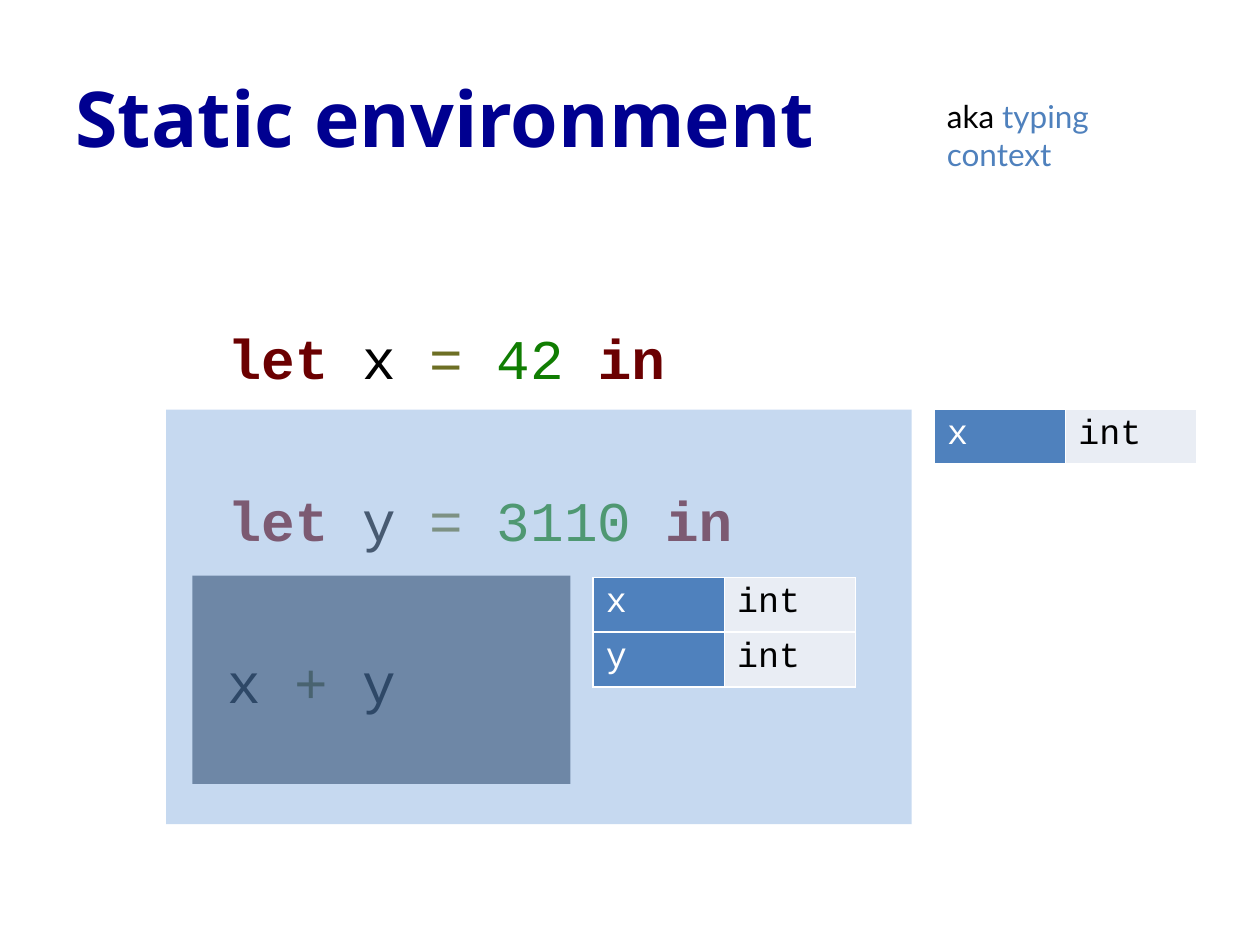
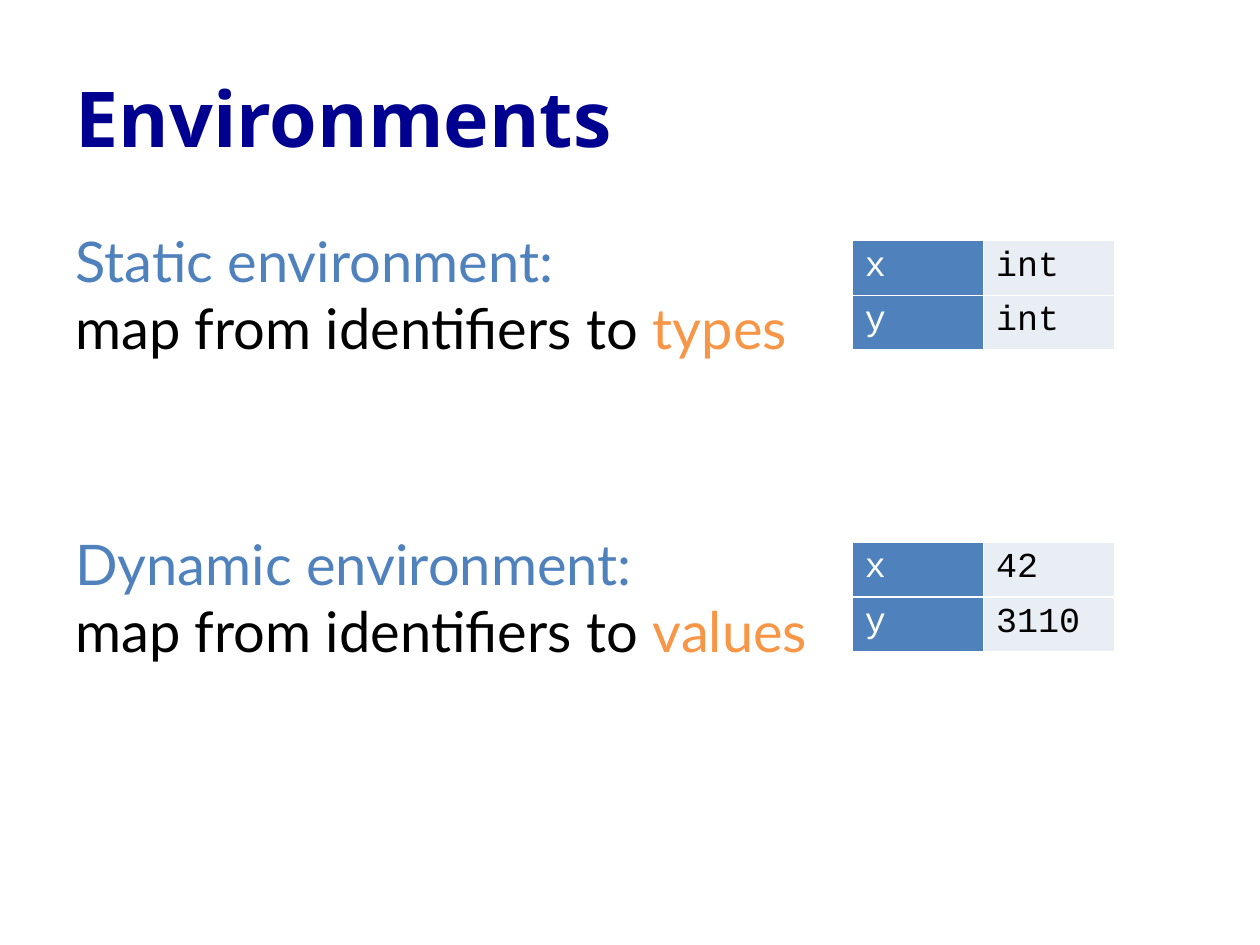
from dataclasses import dataclass
from typing import NamedTuple

from lxml import etree
from pptx import Presentation
from pptx.dml.color import RGBColor
from pptx.enum.shapes import MSO_SHAPE
from pptx.enum.text import MSO_ANCHOR, PP_ALIGN
from pptx.oxml.ns import qn
from pptx.slide import Slide
from pptx.util import Pt

LEFT = PP_ALIGN.LEFT
MIDDLE = MSO_ANCHOR.MIDDLE
RECT = MSO_SHAPE.RECTANGLE
TITLE_ONLY = 5


@dataclass(frozen=True)
class Theme:
    """Colours, fonts and type sizes, in points."""
    black: str = "000000"
    white: str = "FFFFFF"
    navy: str = "000090"
    blue: str = "4F81BD"
    orange: str = "F79646"
    pale: str = "E9EDF4"
    outer: str = "8EB4E3"
    inner: str = "17375E"
    key: str = "6B0001"
    sign: str = "6D6F24"
    digit: str = "107D02"
    head: str = "Open Sans"
    body: str = "Lato"
    code: str = "Courier New"
    title_size: int = 44
    body_size: int = 32
    cell_size: int = 20
    note_size: int = 18


THEME = Theme()


class Box(NamedTuple):
    """A place on the slide, in points."""
    left: float
    top: float
    width: float
    height: float


class Bit(NamedTuple):
    """A stretch of text in one colour; a break may follow it."""
    text: str
    tint: str = THEME.black
    bold: bool = False
    split: bool = False


class Scope(NamedTuple):
    """A see-through block that marks where a name is bound."""
    box: Box
    tint: str


class Env(NamedTuple):
    """A table of names and what they map to."""
    left: float
    top: float
    rows: list[tuple[str, str]]


TITLE = Box(36, 21.6, 648, 90)
NOTE = Box(534, 52, 145, 29)
CODE = Box(123, 131, 411, 356)
BODY = Box(36, 126, 648, 356)
COL, ROW = 75, 30
CODE_GAP, BODY_GAP = 54, 96

LET = Bit("let", THEME.key, True)
IN = Bit("in", THEME.key, True)
EQUALS = Bit("= ", THEME.sign)

PROGRAM = [
    [LET, Bit(" x "), EQUALS, Bit("42 ", THEME.digit), IN],
    [LET, Bit(" y "), EQUALS, Bit("3110 ", THEME.digit), IN],
    [Bit("x "), Bit("+", THEME.sign), Bit(" y")],
]
ALIAS = [[Bit("aka "), Bit("typing context", THEME.blue)]]
KINDS = [
    [Bit(f"{kind} environment:", THEME.blue, split=True),
     Bit("map from identifiers to "), Bit(target, THEME.orange)]
    for kind, target in [("Static", "types"), ("Dynamic", "values")]
]

TYPES = [("x", "int"), ("y", "int")]
VALUES = [("x", "42"), ("y", "3110")]
SCOPES = [
    Scope(Box(95, 234, 426, 237), THEME.outer),
    Scope(Box(110, 329, 216, 119), THEME.inner),
]


def points(box: Box) -> list[Pt]:
    """Turn a box into lengths."""
    return [Pt(side) for side in box]


def style(font, face: str, size: int, tint: str, bold: bool = False) -> None:
    """Set the look of a font."""
    font.name, font.size, font.bold = face, Pt(size), bold
    font.color.rgb = RGBColor.from_string(tint)


def add_page(deck, title: str) -> Slide:
    """Add a slide with its title."""
    page = deck.slides.add_slide(deck.slide_layouts[TITLE_ONLY])
    head = page.shapes.title
    head.left, head.top, head.width, head.height = points(TITLE)
    frame = head.text_frame
    frame.text = title
    frame.vertical_anchor = MIDDLE
    line = frame.paragraphs[0]
    line.alignment = LEFT
    style(line.runs[0].font, THEME.head, THEME.title_size, THEME.navy, True)
    return page


def add_text(page: Slide, box: Box, lines: list[list[Bit]], face: str,
             size: int, gap: float = 0, inset: float = 3.6) -> None:
    """Add coloured paragraphs with a gap between them."""
    frame = page.shapes.add_textbox(*points(box)).text_frame
    frame.word_wrap = True
    frame.margin_top = Pt(inset)
    for spot, bits in enumerate(lines):
        line = frame.add_paragraph() if spot else frame.paragraphs[0]
        line.alignment = LEFT
        line.space_before = Pt(gap if spot else 0)
        for bit in bits:
            run = line.add_run()
            run.text = bit.text
            style(run.font, face, size, bit.tint, bit.bold)
            if bit.split:
                line.add_line_break()


def add_edges(cell) -> None:
    """Give a cell thin white borders."""
    props = cell._tc.get_or_add_tcPr()
    for side in ("lnL", "lnR", "lnT", "lnB"):
        edge = etree.SubElement(props, qn(f"a:{side}"), w=str(Pt(1)))
        fill = etree.SubElement(edge, qn("a:solidFill"))
        etree.SubElement(fill, qn("a:srgbClr"), val=THEME.white)


def add_env(page: Slide, env: Env) -> None:
    """Add a table with names at left and their meaning at right."""
    box = Box(env.left, env.top, 2 * COL, ROW * len(env.rows))
    grid = page.shapes.add_table(len(env.rows), 2, *points(box)).table
    grid.first_row = grid.horz_banding = False
    looks = [(THEME.blue, THEME.white), (THEME.pale, THEME.black)]
    for r, row in enumerate(env.rows):
        for c, (text, (back, tint)) in enumerate(zip(row, looks)):
            cell = grid.cell(r, c)
            add_edges(cell)
            cell.fill.solid()
            cell.fill.fore_color.rgb = RGBColor.from_string(back)
            cell.text_frame.text = text
            run = cell.text_frame.paragraphs[0].runs[0]
            style(run.font, THEME.code, THEME.cell_size, tint)


def add_scope(page: Slide, scope: Scope) -> None:
    """Add a half-transparent block without a line."""
    block = page.shapes.add_shape(RECT, *points(scope.box))
    block.shadow.inherit = False
    block.line.fill.background()
    block.fill.solid()
    block.fill.fore_color.rgb = RGBColor.from_string(scope.tint)
    tint = block._element.spPr.find(f".//{qn('a:srgbClr')}")
    etree.SubElement(tint, qn("a:alpha"), val="50000")


def add_static(deck) -> None:
    """Add the slide on the static environment of a program."""
    page = add_page(deck, "Static environment")
    add_text(page, CODE, PROGRAM, THEME.code, THEME.body_size,
             CODE_GAP, CODE_GAP)
    envs = [Env(534, 234, TYPES[:1]), Env(339, 330, TYPES)]
    for env, scope in zip(envs, SCOPES):
        add_scope(page, scope)
        add_env(page, env)
    add_text(page, NOTE, ALIAS, THEME.body, THEME.note_size)


def add_kinds(deck) -> None:
    """Add the slide that compares both environments."""
    page = add_page(deck, "Environments")
    add_text(page, BODY, KINDS, THEME.body, THEME.body_size, BODY_GAP)
    for env in (Env(487, 137.5, TYPES), Env(487, 310, VALUES)):
        add_env(page, env)


def main() -> None:
    """Build and save the deck."""
    deck = Presentation()
    deck.slide_width, deck.slide_height = Pt(720), Pt(540)
    add_static(deck)
    add_kinds(deck)
    deck.save("out.pptx")


main()
